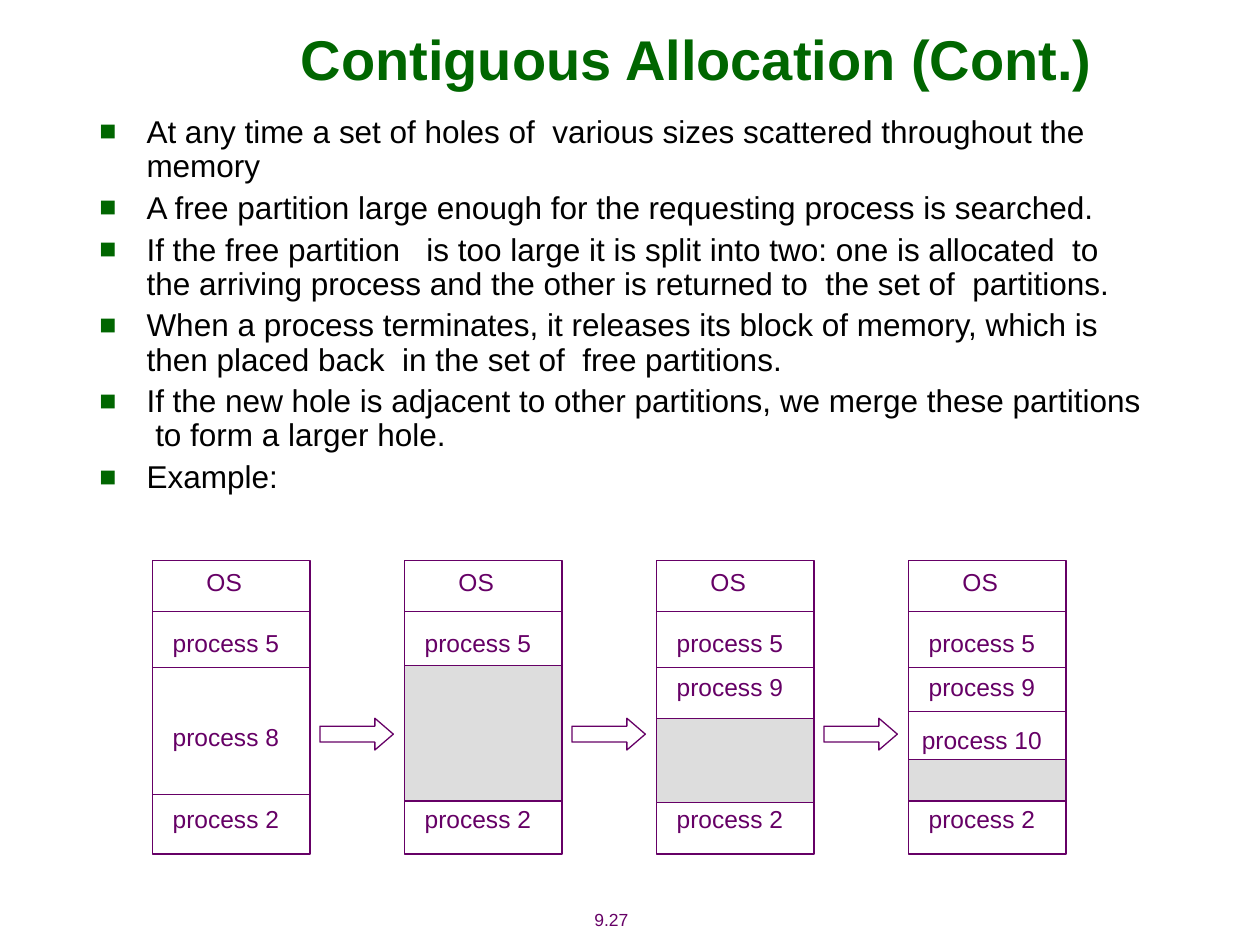
from lxml import etree
from pptx import Presentation
from pptx.dml.color import RGBColor
from pptx.enum.shapes import MSO_CONNECTOR, MSO_SHAPE
from pptx.enum.text import MSO_ANCHOR, MSO_AUTO_SIZE, PP_ALIGN
from pptx.oxml.ns import qn
from pptx.util import Cm, Pt

GREEN = RGBColor(0x00, 0x66, 0x00)
PURPLE = RGBColor(0x66, 0x00, 0x66)
HOLE_GREY = RGBColor(0xDD, 0xDD, 0xDD)
WHITE = RGBColor(0xFF, 0xFF, 0xFF)
BLACK = RGBColor(0x00, 0x00, 0x00)
FONT = "Arial"
CENTER, LEFT = PP_ALIGN.CENTER, PP_ALIGN.LEFT
MIDDLE, TOP = MSO_ANCHOR.MIDDLE, MSO_ANCHOR.TOP
NO_AUTOFIT = MSO_AUTO_SIZE.NONE
RECTANGLE, RIGHT_ARROW = MSO_SHAPE.RECTANGLE, MSO_SHAPE.RIGHT_ARROW
STRAIGHT = MSO_CONNECTOR.STRAIGHT

POINTS = [
    "At any time a set of holes of  various sizes scattered throughout the memory",
    "A free partition large enough for the requesting process is searched.",
    "If the free partition   is too large it is split into two: one is allocated  to "
    "the arriving process and the other is returned to  the set of  partitions.",
    "When a process terminates, it releases its block of memory, which is then "
    "placed back  in the set of  free partitions.",
    "If the new hole is adjacent to other partitions, we merge these partitions  "
    "to form a larger hole.",
    "Example:",
]

# Centimetres, measured from the top left corner of a memory column
COLUMN_WIDTH, COLUMN_HEIGHT, COLUMN_PITCH = 3.18, 5.92, 5.08
LABEL_WIDTH, LABEL_HEIGHT = 2.97, 0.86
OS_END, PROCESS_5_END, PROCESS_9_END, PROCESS_8_END = 1.02, 2.16, 3.05, 4.72
LABEL_TOPS = {"process 5": 1.22, "process 9": 2.11, "process 8": 3.12,
              "process 10": 3.18, "process 2": 4.78}

# Each state of memory: processes, dividers, hole as (top, height)
MEMORY_STATES = [
    (["process 5", "process 8", "process 2"], [OS_END, PROCESS_5_END, PROCESS_8_END], None),
    (["process 5", "process 2"], [OS_END], (2.11, 2.74)),
    (["process 5", "process 9", "process 2"], [OS_END, PROCESS_5_END], (3.18, 1.7)),
    (["process 5", "process 9", "process 10", "process 2"],
     [OS_END, PROCESS_5_END, PROCESS_9_END], (4.01, 0.84)),
]


def write_text(frame, paragraphs, size=14, color=PURPLE, bold=False, align=CENTER,
               anchor=MIDDLE, wrap=True, line_spacing=1.0, gap=0, bullet=None):
    frame.word_wrap = wrap
    frame.auto_size = NO_AUTOFIT
    frame.vertical_anchor = anchor
    for index, wording in enumerate(paragraphs):
        paragraph = frame.paragraphs[0] if index == 0 else frame.add_paragraph()
        paragraph.text = wording
        if bullet:
            add_bullet(paragraph, bullet)
        paragraph.alignment = align
        paragraph.line_spacing = line_spacing
        paragraph.space_before = Pt(gap if index else 0)
        font = paragraph.font
        font.name, font.size, font.bold = FONT, Pt(size), bold
        font.color.rgb = color


def add_bullet(paragraph, character):
    properties = paragraph._p.get_or_add_pPr()
    indent = Cm(0.95)
    properties.set("marL", str(indent))
    properties.set("indent", str(-indent))
    color = etree.SubElement(properties, qn("a:buClr"))
    etree.SubElement(color, qn("a:srgbClr"), val=str(GREEN))
    etree.SubElement(properties, qn("a:buSzPct"), val="90000")
    etree.SubElement(properties, qn("a:buFont"), typeface=FONT)
    etree.SubElement(properties, qn("a:buChar"), char=character)


def place(shape, left, top, width, height):
    shape.left, shape.top = Cm(left), Cm(top)
    shape.width, shape.height = Cm(width), Cm(height)


def add_label(slide, wording, left, top, width, height, **text_format):
    box = slide.shapes.add_textbox(Cm(left), Cm(top), Cm(width), Cm(height))
    write_text(box.text_frame, [wording], **text_format)


def add_outlined(slide, kind, left, top, width, height, fill=WHITE):
    shape = slide.shapes.add_shape(kind, Cm(left), Cm(top), Cm(width), Cm(height))
    shape.shadow.inherit = False
    shape.fill.solid()
    shape.fill.fore_color.rgb = fill
    shape.line.color.rgb = PURPLE
    shape.line.width = Pt(0.75)
    return shape


def add_divider(slide, left, top, width):
    divider = slide.shapes.add_connector(STRAIGHT, Cm(left), Cm(top), Cm(left + width), Cm(top))
    divider.line.color.rgb = PURPLE
    divider.line.width = Pt(0.75)
    etree.SubElement(divider._element.spPr, qn("a:effectLst"))


def fill_title(slide, left, top, width, height):
    title = slide.shapes.title
    place(title, left, top, width, height)
    write_text(title.text_frame, ["Contiguous Allocation (Cont.)"], size=32,
               color=GREEN, bold=True)


def fill_points(slide, left, top, width, height):
    body = slide.placeholders[1]
    place(body, left, top, width, height)
    write_text(body.text_frame, POINTS, size=18, color=BLACK, align=LEFT, anchor=TOP,
               line_spacing=0.9, gap=4.5, bullet="■")


def add_memory_column(slide, left, top, processes, dividers, hole):
    add_outlined(slide, RECTANGLE, left, top, COLUMN_WIDTH, COLUMN_HEIGHT)
    for offset in dividers:
        add_divider(slide, left, top + offset, COLUMN_WIDTH)
    if hole:
        hole_top, hole_height = hole
        add_outlined(slide, RECTANGLE, left, top + hole_top, COLUMN_WIDTH, hole_height,
                     fill=HOLE_GREY)
    add_label(slide, "OS", left + 0.84, top, 1.22, LABEL_HEIGHT, wrap=False)
    for process in processes:
        add_label(slide, process, left, top + LABEL_TOPS[process], LABEL_WIDTH, LABEL_HEIGHT)


def add_memory_sequence(slide, left, top):
    for index, state in enumerate(MEMORY_STATES):
        column_left = left + index * COLUMN_PITCH
        add_memory_column(slide, column_left, top, *state)
        if index < len(MEMORY_STATES) - 1:
            arrow = add_outlined(slide, RIGHT_ARROW, column_left + 3.38, top + 3.18, 1.48, 0.64)
            arrow.adjustments[0] = 0.5
            arrow.adjustments[1] = 0.58


def main():
    presentation = Presentation()
    presentation.slide_width, presentation.slide_height = Cm(25.4), Cm(19.05)
    slide = presentation.slides.add_slide(presentation.slide_layouts[1])
    fill_title(slide, 3.25, 0, 21.59, 2.34)
    fill_points(slide, 1.75, 2.21, 21.54, 8.05)
    add_memory_sequence(slide, 3.07, 11.3)
    add_label(slide, "9.27", 11.13, 18.19, 2.39, 0.69, size=10, wrap=False)
    presentation.save("out.pptx")


if __name__ == "__main__":
    main()
